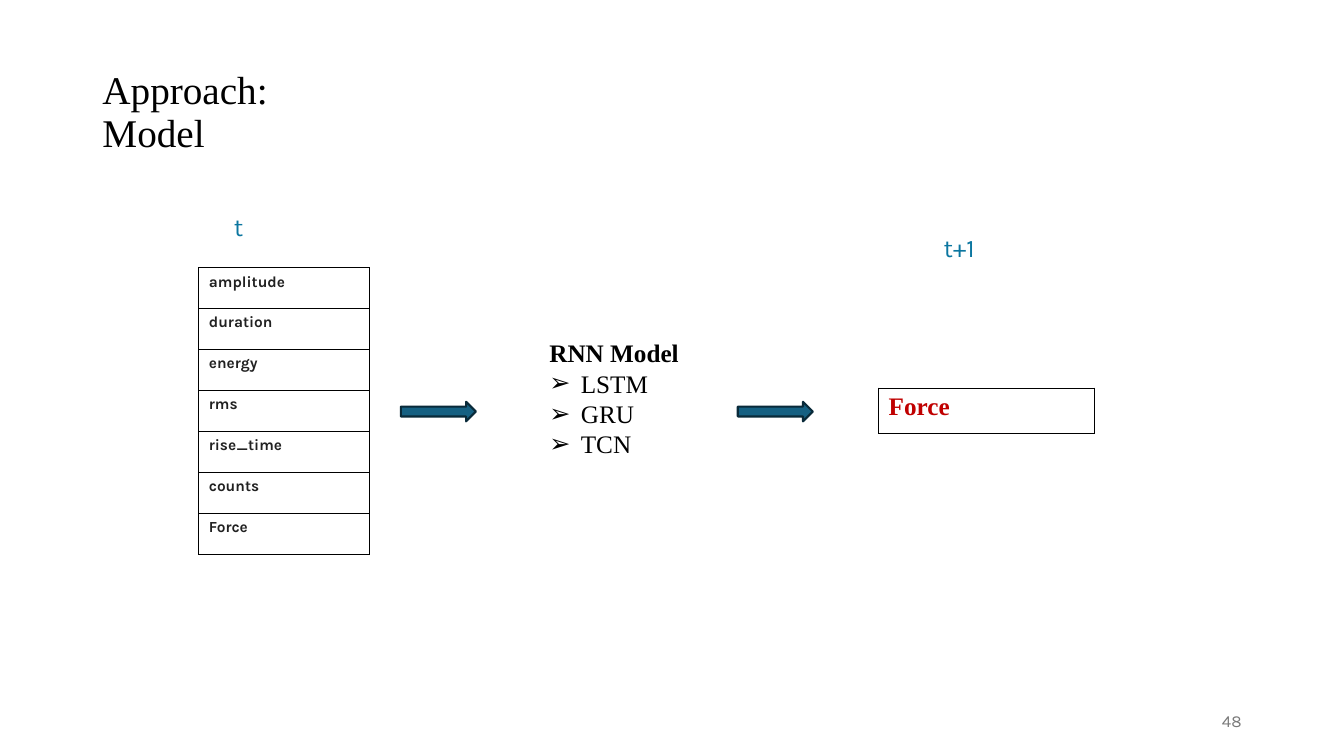
from lxml.etree import SubElement
from pptx import Presentation
from pptx.dml.color import RGBColor as RGB
from pptx.enum.shapes import MSO_SHAPE as Shape
from pptx.enum.text import MSO_ANCHOR as Anchor, MSO_AUTO_SIZE as Auto, PP_ALIGN as Align
from pptx.oxml import parse_xml
from pptx.oxml.ns import nsdecls, qn
from pptx.util import Pt

SERIF = "Times New Roman"
SANS = "Karla"


def tint(code):
    return RGB.from_string(code)


class Deck:
    title = dict(name=SERIF, size=Pt(28), color="000000")
    head = dict(name=SERIF, size=Pt(18), color="000000", bold=True)
    item = dict(head, bold=False)
    goal = dict(head, color="C00000")
    cell = dict(name=SANS, size=Pt(11), color="212121", bold=True)
    time = dict(name=SANS, size=Pt(18), color="0B76A0")
    page = dict(name=SANS, size=Pt(12), color="797979")

    def __init__(self):
        self.prs = Presentation()
        self.prs.slide_width, self.prs.slide_height = Pt(960), Pt(540)
        self.slide = self.prs.slides.add_slide(self.prs.slide_layouts[1])

    def label(self, para, text, style):
        para.text = text
        for run in para.runs:
            for key, val in style.items():
                if key == "color":
                    run.font.color.rgb = tint(val)
                else:
                    setattr(run.font, key, val)

    def place(self, holder, box):
        for key, val in zip(("left", "top", "width", "height"), box):
            setattr(holder, key, Pt(val))
        frame = holder.text_frame
        frame.word_wrap = True
        frame.auto_size = Auto.NONE
        return frame

    def head_line(self, text, box):
        frame = self.place(self.slide.shapes.title, box)
        frame.vertical_anchor = Anchor.MIDDLE
        para = frame.paragraphs[0]
        self.label(para, text, self.title)
        para.alignment = Align.LEFT
        para.line_spacing = 0.9

    def list(self, head, items, box):
        frame = self.place(self.slide.placeholders[1], box)
        for pos, text in enumerate([head, *items]):
            para = frame.add_paragraph() if pos else frame.paragraphs[0]
            props = para._p.get_or_add_pPr()
            gap = Pt(22.5) if pos else 0
            props.set("marL", str(gap))
            props.set("indent", str(-gap))
            if pos:
                SubElement(props, qn("a:buChar")).set("char", "➢")
            else:
                SubElement(props, qn("a:buNone"))
            para.space_before = Pt(0)
            self.label(para, text, self.item if pos else self.head)

    def text(self, text, box, style, align=Align.LEFT, anchor=Anchor.TOP):
        frame = self.slide.shapes.add_textbox(*map(Pt, box)).text_frame
        frame.word_wrap = True
        frame.vertical_anchor = anchor
        para = frame.paragraphs[0]
        self.label(para, text, style)
        para.alignment = align

    def table(self, names, box, style):
        table = self.slide.shapes.add_table(len(names), 1, *map(Pt, box)).table
        table.first_row = table.horz_banding = False
        for row, name in enumerate(names):
            table.rows[row].height = Pt(box[3] / len(names))
            cell = table.cell(row, 0)
            cell.fill.background()
            self.label(cell.text_frame.paragraphs[0], name, style)
            props = cell._tc.get_or_add_tcPr()
            for pos, side in enumerate("LRTB"):
                props.insert(pos, parse_xml(
                    f'<a:ln{side} {nsdecls("a")} w="{Pt(1)}"><a:solidFill>'
                    f'<a:srgbClr val="000000"/></a:solidFill></a:ln{side}>'))

    def arrow(self, box):
        arrow = self.slide.shapes.add_shape(Shape.RIGHT_ARROW, *map(Pt, box))
        arrow.shadow.inherit = False
        arrow.fill.solid()
        arrow.fill.fore_color.rgb = tint("156082")
        arrow.line.color.rgb = tint("092A39")
        arrow.line.width = Pt(1.5)


def main():
    deck = Deck()
    deck.head_line("Approach:\vModel", (66, 29, 828, 104))
    inputs = ["amplitude", "duration", "energy", "rms", "rise_time", "counts", "Force"]
    deck.table(inputs, (142, 191.3, 122, 204.75), deck.cell)
    deck.table(["Force"], (627.6, 277.3, 154.4, 32.4), deck.goal)
    deck.text("t", (160, 147.7, 76, 29), deck.time)
    deck.text("t+1", (667, 162.3, 76, 29), deck.time)
    deck.list("RNN Model", ["LSTM", "GRU", "TCN"], (385.2, 237.6, 122, 94.4))
    for left in (286.3, 527):
        deck.arrow((left, 287, 53.6, 14))
    deck.text("48", (678, 500.5, 216, 28.75), deck.page, Align.RIGHT, Anchor.MIDDLE)
    deck.prs.save("out.pptx")


if __name__ == "__main__":
    main()
